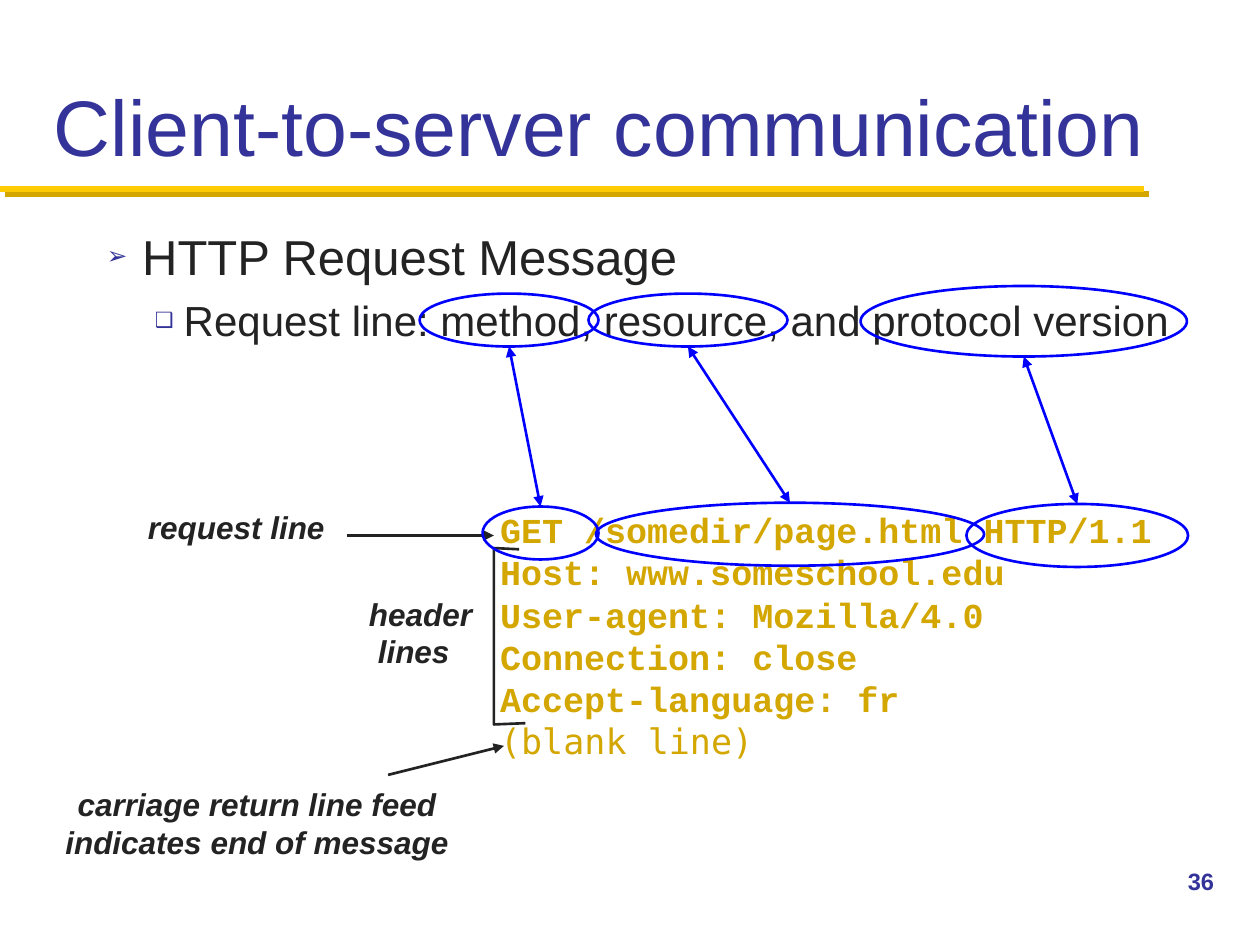
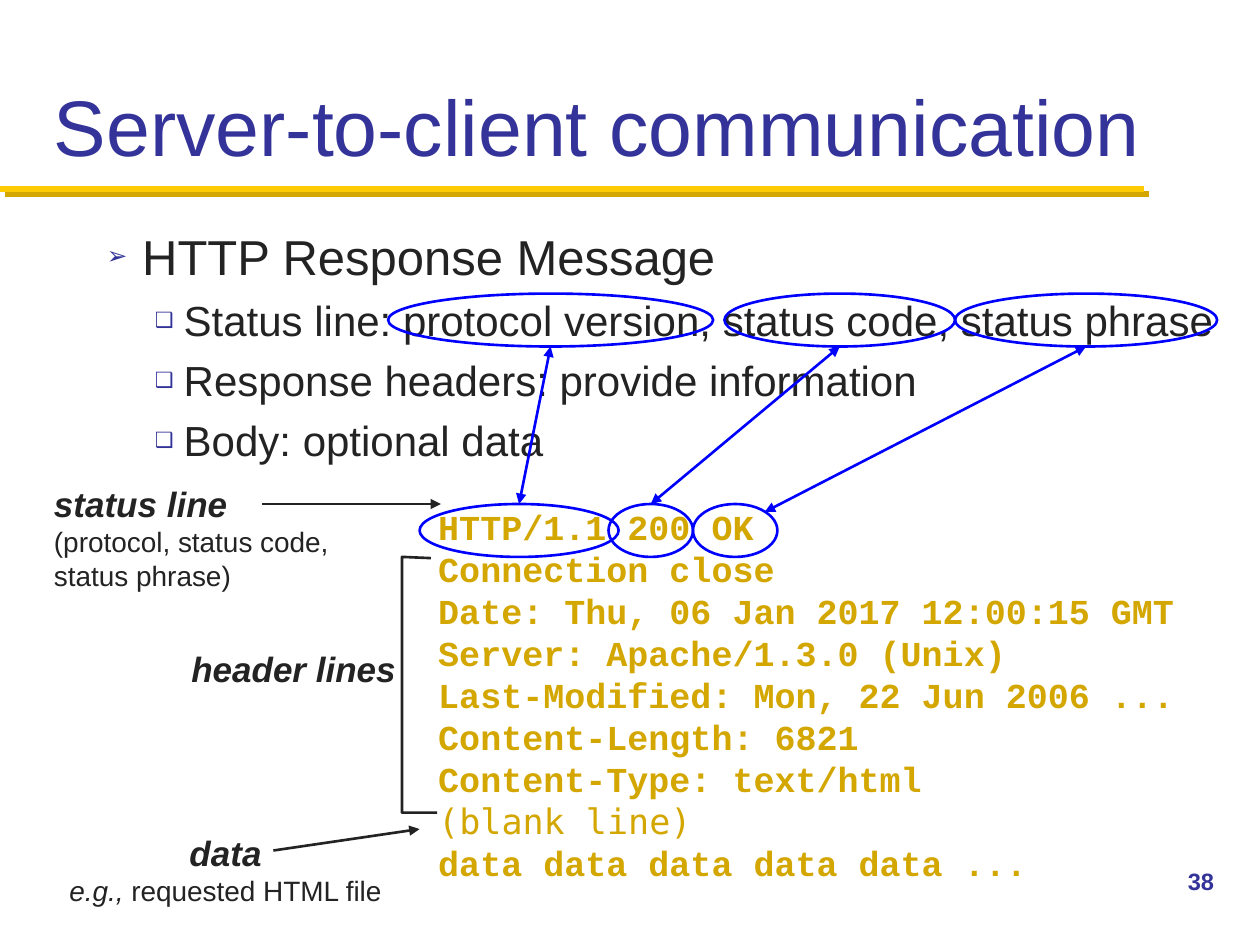
from dataclasses import dataclass

import pptx
import pptx.dml.color
import pptx.enum.shapes
import pptx.enum.text
import pptx.oxml.ns
import pptx.util
from lxml import etree

PX = 9144  # EMU in one px, 100 px to the inch
SHAPE = pptx.enum.shapes.MSO_SHAPE
STRAIGHT = pptx.enum.shapes.MSO_CONNECTOR.STRAIGHT
ALIGN = pptx.enum.text.PP_ALIGN
ANCHOR = pptx.enum.text.MSO_ANCHOR
qn = pptx.oxml.ns.qn


@dataclass(frozen=True)
class Face:
    size: float
    color: str
    font: str = "Arial"
    bold: bool = False
    italic: bool = False


class Theme:
    navy, ink, blue = "333399", "232323", "0000FF"
    gold, dark_gold = "FFCB05", "D3A600"
    rule_width, line_width = 3.5, 1.5
    title = Face(45, navy)
    topic = Face(28, ink)
    point = Face(24, ink)
    number = Face(13.5, navy, bold=True)
    code = Face(20, dark_gold, "Courier New", bold=True)
    blank_line = Face(20, dark_gold, "DejaVu Sans Mono")
    label = Face(18, ink, bold=True, italic=True)
    big_label = Face(20, ink, bold=True, italic=True)
    remark = Face(16, ink)
    remark_italic = Face(16, ink, italic=True)
    # bullet sign, left margin and hanging indent in px
    topic_bullet = ("➢", 28, 28)
    point_bullet = ("❑", 61, 23)
    point_gap = 5.4


def px(length):
    return pptx.util.Emu(round(length * PX))


def rgb(color):
    return pptx.dml.color.RGBColor.from_string(color)


class Deck:
    def __init__(self, theme):
        self.theme = theme
        self.show = pptx.Presentation()
        self.show.slide_width, self.show.slide_height = px(1000), px(750)
        self.slide = None

    def start(self, title, number):
        """New slide with the title, the double rule and the page number."""
        t = self.theme
        self.slide = self.show.slides.add_slide(self.show.slide_layouts[6])
        for offset, color in ((4, t.dark_gold), (0, t.gold)):
            self.line((offset, 150 + offset), (908 + offset, 150 + offset),
                      color, t.rule_width)
        self.text((33, 17, 933, 125), [[(title, t.title)]], anchor=ANCHOR.BOTTOM)
        self.text((933, 683, 67, 50), [[(number, t.number)]])

    def text(self, box, paragraphs, align=ALIGN.LEFT, anchor=ANCHOR.TOP):
        """Each paragraph is a list of (words, face) runs."""
        frame = self.slide.shapes.add_textbox(*map(px, box)).text_frame
        frame.word_wrap = True
        frame.vertical_anchor = anchor
        for i, runs in enumerate(paragraphs):
            paragraph = frame.add_paragraph() if i else frame.paragraphs[0]
            paragraph.alignment = align
            for words, face in runs:
                run = paragraph.add_run()
                run.text = words
                font = run.font
                font.name, font.size = face.font, pptx.util.Pt(face.size)
                font.bold, font.italic = face.bold, face.italic
                font.color.rgb = rgb(face.color)
        return frame

    def indent(self, paragraph, margin, hanging=0):
        props = paragraph._p.get_or_add_pPr()
        props.set("marL", str(px(margin)))
        props.set("indent", str(px(-hanging)))
        return props

    def outline(self, topic, points):
        t = self.theme
        frame = self.text((75, 175, 908, 483),
                          [[(topic, t.topic)]] + [[(p, t.point)] for p in points])
        for i, paragraph in enumerate(frame.paragraphs):
            sign, margin, hanging = t.point_bullet if i else t.topic_bullet
            if i:
                paragraph.space_before = pptx.util.Pt(t.point_gap)
            props = self.indent(paragraph, margin, hanging)
            color = etree.SubElement(props, qn("a:buClr"))
            etree.SubElement(color, qn("a:srgbClr"), val=t.navy)
            etree.SubElement(props, qn("a:buSzPct"), val="50000")
            etree.SubElement(props, qn("a:buFont"), typeface=t.point.font)
            etree.SubElement(props, qn("a:buChar"), char=sign)

    def code(self, box, lines):
        t = self.theme
        self.text(box, [[(line, t.blank_line if line == "(blank line)" else t.code)]
                        for line in lines])

    def line(self, start, end, color, width, ends=()):
        connector = self.slide.shapes.add_connector(
            STRAIGHT, *map(px, (*start, *end)))
        connector.line.color.rgb = rgb(color)
        connector.line.width = pptx.util.Pt(width)
        props = connector.element.spPr
        for end_tag in ends:
            etree.SubElement(props.find(qn("a:ln")), qn(end_tag), type="triangle")
        etree.SubElement(props, qn("a:effectLst"))

    def pointer(self, start, end):
        self.line(start, end, self.theme.ink, self.theme.line_width, ("a:tailEnd",))

    def stroke(self, shape, color):
        shape.shadow.inherit = False
        shape.fill.background()
        shape.line.color.rgb = rgb(color)
        shape.line.width = pptx.util.Pt(self.theme.line_width)

    def bracket(self, first, *others):
        builder = self.slide.shapes.build_freeform(*first, scale=PX)
        builder.add_line_segments(others, close=False)
        self.stroke(builder.convert_to_shape(), self.theme.ink)

    def match(self, term, value, at_corner=False):
        """Circle a term and its value and join them with a double arrow."""
        for box in (term, value):
            ring = self.slide.shapes.add_shape(SHAPE.OVAL, *map(px, box))
            self.stroke(ring, self.theme.blue)
        left, top, width, height = term
        start = (left + width / 2, top + height)
        # the arrow lands at the top of the ring, or 45 degrees to its right
        across, down = (0.85, 0.15) if at_corner else (0.5, 0)
        left, top, width, height = value
        end = (left + across * width, top + down * height)
        self.line(start, end, self.theme.blue, self.theme.line_width,
                  ("a:headEnd", "a:tailEnd"))


def request_slide(deck):
    t = deck.theme
    deck.start("Client-to-server communication", "36")
    deck.outline("HTTP Request Message",
                 ["Request line: method, resource, and protocol version"])
    deck.code((387, 399, 542, 212), [
        "GET /somedir/page.html HTTP/1.1",
        "Host: www.someschool.edu",
        "User-agent: Mozilla/4.0",
        "Connection: close",
        "Accept-language: fr",
        "(blank line)",
    ])

    # Labels of the message parts
    deck.text((25, 398, 325, 41), [[("request line", t.label)]], ALIGN.CENTER)
    deck.pointer((275, 425), (392, 425))
    deck.bracket((412, 436), (392, 435), (392, 575), (417, 574))
    header = deck.text((283, 467, 111, 72),
                       [[("header", t.label)], [("lines", t.label)]])
    deck.indent(header.paragraphs[1], 7)
    deck.pointer((308, 615), (400, 592))
    deck.text((33, 618, 342, 72),
              [[("carriage return line feed", t.label)],
               [("indicates end of message", t.label)]], ALIGN.CENTER)

    # Method, resource, protocol version
    deck.match((333, 233, 142, 42), (383, 402, 92, 42))
    deck.match((467, 233, 158, 42), (473, 399, 308, 50))
    deck.match((683, 227, 259, 56), (767, 400, 176, 50))


def response_slide(deck):
    t = deck.theme
    deck.start("Server-to-client communication", "38")
    deck.outline("HTTP Response Message", [
        "Status line: protocol version, status code, status phrase",
        "Response headers: provide information",
        "Body: optional data",
    ])
    deck.code((338, 396, 626, 313), [
        "HTTP/1.1 200 OK",
        "Connection close",
        "Date: Thu, 06 Jan 2017 12:00:15 GMT",
        "Server: Apache/1.3.0 (Unix)",
        "Last-Modified: Mon, 22 Jun 2006 ...",
        "Content-Length: 6821",
        "Content-Type: text/html",
        "(blank line)",
        "data data data data data ...",
    ])

    # Labels of the message parts
    deck.text((33, 378, 242, 98),
              [[("status line", t.big_label)],
               [("(protocol, status code, status phrase)", t.remark)]])
    deck.pointer((208, 400), (350, 400))
    deck.bracket((342, 443), (319, 442), (319, 645), (347, 645))
    deck.text((142, 509, 217, 44), [[("header lines", t.big_label)]])
    deck.pointer((217, 675), (333, 658))
    deck.text((25, 655, 308, 71),
              [[("data", t.big_label)],
               [("e.g.,", t.remark_italic), (" requested HTML file", t.remark)]],
              ALIGN.CENTER)

    # Protocol version, status code, status phrase
    deck.match((308, 233, 258, 42), (333, 400, 158, 42))
    deck.match((575, 233, 183, 42), (483, 400, 67, 42))
    deck.match((758, 233, 208, 42), (550, 400, 67, 42), at_corner=True)


def main():
    deck = Deck(Theme())
    request_slide(deck)
    response_slide(deck)
    deck.show.save("out.pptx")


if __name__ == "__main__":
    main()
